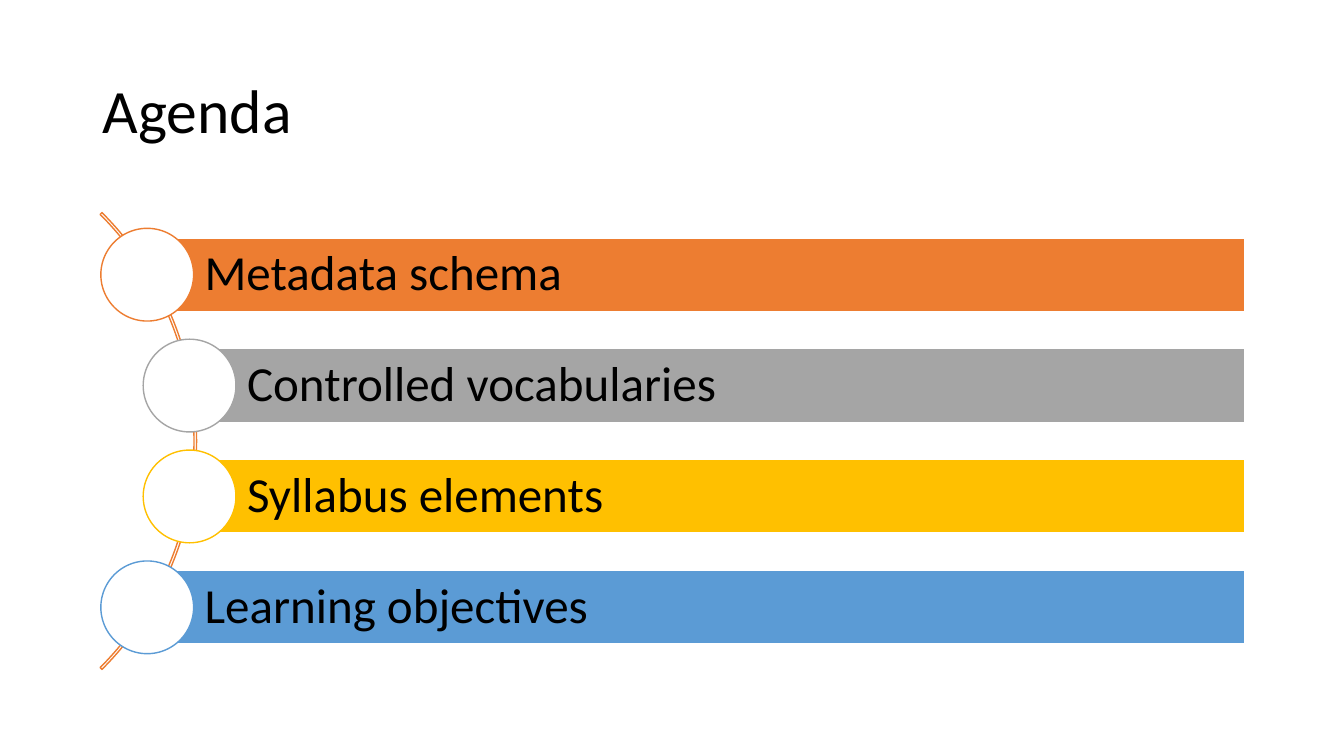
from dataclasses import dataclass

from pptx import Presentation
from pptx.dml.color import RGBColor
from pptx.enum.shapes import MSO_SHAPE
from pptx.enum.text import MSO_ANCHOR, MSO_AUTO_SIZE, PP_ALIGN
from pptx.shapes.autoshape import Shape
from pptx.slide import Slide
from pptx.text.text import TextFrame
from pptx.util import Inches, Pt

ARC, BAR, CIRCLE = MSO_SHAPE.BLOCK_ARC, MSO_SHAPE.RECTANGLE, MSO_SHAPE.OVAL
MIDDLE, LEFT, NO_FIT = MSO_ANCHOR.MIDDLE, PP_ALIGN.LEFT, MSO_AUTO_SIZE.NONE

BLACK = RGBColor(0x00, 0x00, 0x00)
WHITE = RGBColor(0xFF, 0xFF, 0xFF)
ORANGE = RGBColor(0xED, 0x7D, 0x31)
GRAY = RGBColor(0xA5, 0xA5, 0xA5)
GOLD = RGBColor(0xFF, 0xC0, 0x00)
BLUE = RGBColor(0x5B, 0x9B, 0xD5)

FONT = "Calibri"
TITLE_ONLY = 5
FIRST_TOP, PITCH = 2.36, 1.1
BAR_RIGHT, BAR_HEIGHT = 12.35, 0.73
DIAMETER = 0.92


@dataclass(frozen=True)
class Topic:
    label: str
    color: RGBColor
    left: float


TOPICS = (
    Topic("Metadata schema", ORANGE, 1.0),
    Topic("Controlled vocabularies", GRAY, 1.42),
    Topic("Syllabus elements", GOLD, 1.42),
    Topic("Learning objectives", BLUE, 1.0),
)


def add_outlined(slide: Slide, kind: MSO_SHAPE, left: float, top: float,
                 width: float, height: float, line: RGBColor,
                 fill: RGBColor | None = None) -> Shape:
    shape = slide.shapes.add_shape(
        kind, Inches(left), Inches(top), Inches(width), Inches(height))
    shape.shadow.inherit = False
    if fill is None:
        shape.fill.background()
    else:
        shape.fill.solid()
        shape.fill.fore_color.rgb = fill
    shape.line.color.rgb = line
    shape.line.width = Pt(1)
    return shape


def write_line(frame: TextFrame, text: str, size: float) -> None:
    frame.text = text
    frame.word_wrap = True
    frame.auto_size = NO_FIT
    frame.vertical_anchor = MIDDLE
    paragraph = frame.paragraphs[0]
    paragraph.alignment = LEFT
    paragraph.line_spacing = 0.9
    paragraph.space_before = Pt(0)
    paragraph.font.name = FONT
    paragraph.font.size = Pt(size)
    paragraph.font.color.rgb = BLACK


def add_title(slide: Slide, text: str) -> None:
    title = slide.shapes.title
    title.left, title.top = Inches(0.92), Inches(0.4)
    title.width, title.height = Inches(11.5), Inches(1.45)
    write_line(title.text_frame, text, 44)


def add_arc(slide: Slide) -> None:
    arc = add_outlined(slide, ARC, -4.46, 1.17, 6.41, 6.41, ORANGE)
    for index, value in enumerate((189, 27, 0.004)):
        arc.adjustments[index] = value


def add_topic(slide: Slide, topic: Topic, top: float) -> None:
    bar_left = topic.left + 0.45
    bar = add_outlined(slide, BAR, bar_left, top, BAR_RIGHT - bar_left,
                       BAR_HEIGHT, WHITE, topic.color)
    frame = bar.text_frame
    frame.margin_left = Inches(0.58)
    frame.margin_top = frame.margin_right = frame.margin_bottom = Inches(0.1)
    write_line(frame, topic.label, 35)
    circle_top = top - (DIAMETER - BAR_HEIGHT) / 2
    add_outlined(slide, CIRCLE, topic.left, circle_top, DIAMETER, DIAMETER,
                 topic.color, WHITE)


def main() -> None:
    deck = Presentation()
    deck.slide_width, deck.slide_height = Inches(13.33), Inches(7.5)
    slide = deck.slides.add_slide(deck.slide_layouts[TITLE_ONLY])
    add_title(slide, "Agenda")
    add_arc(slide)
    for row, topic in enumerate(TOPICS):
        add_topic(slide, topic, FIRST_TOP + row * PITCH)
    deck.save("out.pptx")


if __name__ == "__main__":
    main()
